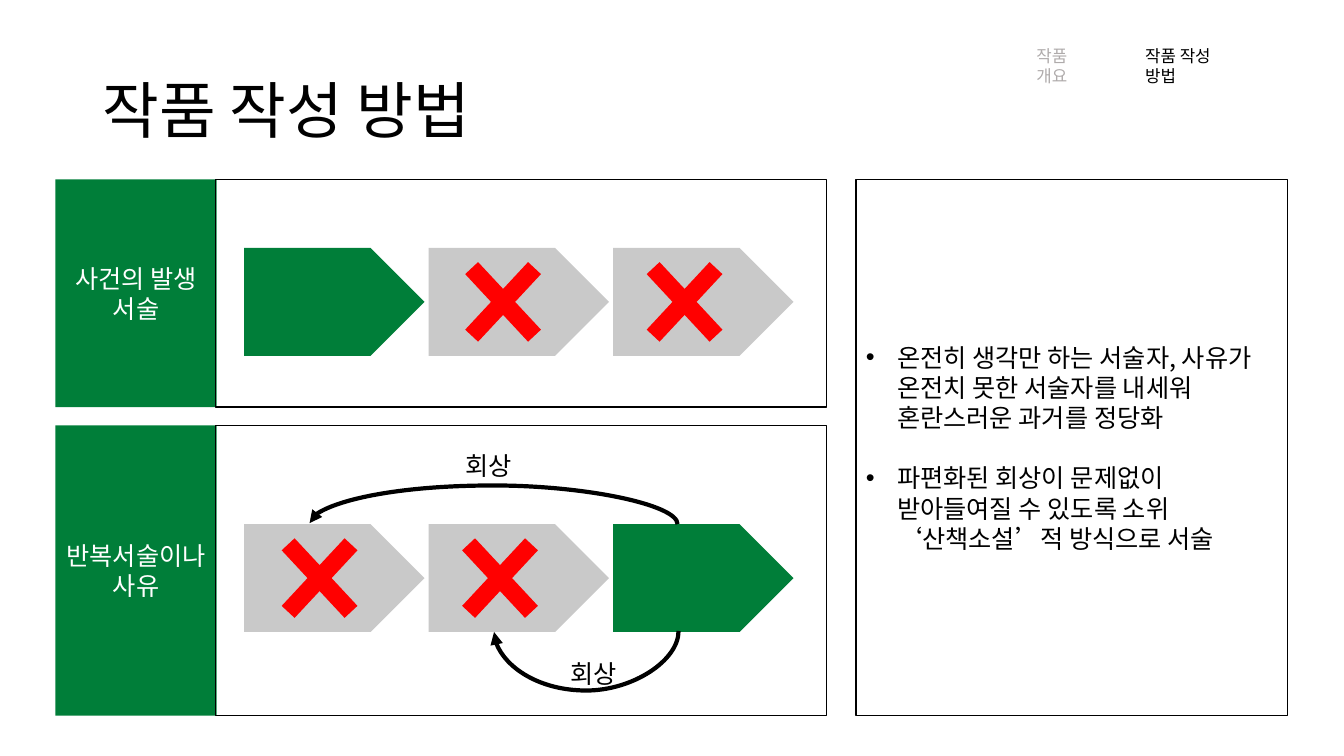
"""Build the slide on how the work is written, with two story sequences and a summary."""
from pptx import Presentation, util as u
from pptx.dml.color import RGBColor
from pptx.enum import shapes, text
from pptx.oxml import parse_xml
from pptx.oxml.ns import nsdecls, qn

COLORS = {"green": "007E39", "gray": "C9C9C9", "red": "FF0000", "black": "000000",
          "white": "FFFFFF", "muted": "AFABAB"}
FONT = "Noto Sans CJK KR"
SHAPE = shapes.MSO_SHAPE

deck = Presentation()
deck.slide_width, deck.slide_height = u.Inches(13.33), u.Inches(7.5)
slide = deck.slides.add_slide(deck.slide_layouts[6])


def add_block(preset, box, fill=None):
    block = slide.shapes.add_shape(preset, *map(u.Inches, box))
    block.shadow.inherit = False
    if fill:
        block.fill.solid()
        block.fill.fore_color.rgb = RGBColor.from_string(COLORS[fill])
        block.line.fill.background()
    else:
        block.fill.background()
        block.line.color.rgb = RGBColor.from_string(COLORS["black"])
        block.line.width = u.Pt(1)
    return block


def write(holder, lines, size, color, align=text.PP_ALIGN.LEFT, anchor=text.MSO_ANCHOR.TOP):
    frame = holder.text_frame
    frame.word_wrap = True
    frame.vertical_anchor = anchor
    frame.text = "\n".join(lines)
    for paragraph in frame.paragraphs:
        paragraph.alignment = align
        paragraph.font.size = u.Pt(size)
        paragraph.font.name = FONT
        paragraph.font.color.rgb = RGBColor.from_string(COLORS[color])
        paragraph._p.pPr.find(qn("a:defRPr")).append(
            parse_xml(f'<a:ea {nsdecls("a")} typeface="{FONT}"/>'))
    return frame.paragraphs


title = slide.shapes.add_textbox(*map(u.Inches, (0.92, 0.4, 11.5, 1.45)))
write(title, ["작품 작성 방법"], 44, "black", anchor=text.MSO_ANCHOR.MIDDLE)[0].line_spacing = 0.9

sequences = [
    (1.78, 2.26, ["사건의 발생", "서술"], 2.46, 0, (4.39, 6.19)),
    (4.22, 2.88, ["반복서술이나 사유"], 5.2, 2, (2.57, 4.36)),
]
for top, height, label, step_top, active, crosses in sequences:
    for step in range(3):
        add_block(SHAPE.PENTAGON, (2.42 + 1.83 * step, step_top, 1.79, 1.07),
                  "green" if step == active else "gray")
    for left in crosses:
        cross = add_block(SHAPE.MATH_MULTIPLY, (left, step_top - 0.11, 1.2, 1.29), "red")
        cross.adjustments[0] = 0.146
    heading = add_block(SHAPE.RECTANGLE, (0.55, top, 1.6, height), "green")
    write(heading, label, 18, "white", text.PP_ALIGN.CENTER, text.MSO_ANCHOR.MIDDLE)
    add_block(SHAPE.RECTANGLE, (2.14, top, 6.06, height))

recalls = [
    ((5.81, 5.35), (5.82, 7.18), 90, 60),
    ((4.89, 7.02), (4.9, 3.37), 270, 39),
]
for start, end, angle, bulge in recalls:
    recall = slide.shapes.add_connector(shapes.MSO_CONNECTOR.CURVE, *map(u.Inches, start + end))
    recall.line.color.rgb = RGBColor.from_string(COLORS["black"])
    recall.line.width = u.Pt(3)
    properties = recall._element.spPr
    properties.find(qn("a:xfrm")).set("rot", str(angle * 60000))
    bend = properties.find(qn("a:prstGeom"))
    bend.get_or_add_avLst().append(
        parse_xml(f'<a:gd {nsdecls("a")} name="adj1" fmla="val {bulge * 100000}"/>'))
    properties.find(qn("a:ln")).append(parse_xml(f'<a:tailEnd {nsdecls("a")} type="triangle"/>'))
    properties.append(parse_xml(f'<a:effectLst {nsdecls("a")}/>'))

captions = [
    ((4.52, 4.42, 0.75, 0.4), "회상", 18, "black"),
    ((5.56, 6.48, 0.83, 0.4), "회상", 18, "black"),
    ((11.26, 0.4, 1.16, 0.3), "작품 작성 방법", 12, "black"),
    ((10.18, 0.4, 0.82, 0.3), "작품 개요", 12, "muted"),
]
for box, words, size, color in captions:
    write(slide.shapes.add_textbox(*map(u.Inches, box)), [words], size, color)

summary = add_block(SHAPE.RECTANGLE, (8.49, 1.78, 4.28, 5.32))
points = write(summary, [
    "온전히 생각만 하는 서술자, 사유가 온전치 못한 서술자를 내세워 혼란스러운 과거를 정당화",
    "파편화된 회상이 문제없이 받아들여질 수 있도록 소위 ‘산책소설’적 방식으로 서술",
], 18, "black", anchor=text.MSO_ANCHOR.MIDDLE)
points[1].space_before = u.Pt(21.5)
for point in points:
    layout = point._p.pPr
    layout.set("marL", str(u.Inches(0.31)))
    layout.set("indent", str(-u.Inches(0.31)))
    defaults = layout.find(qn("a:defRPr"))
    defaults.addprevious(parse_xml(f'<a:buFont {nsdecls("a")} typeface="Arial"/>'))
    defaults.addprevious(parse_xml(f'<a:buChar {nsdecls("a")} char="•"/>'))

deck.save("out.pptx")
